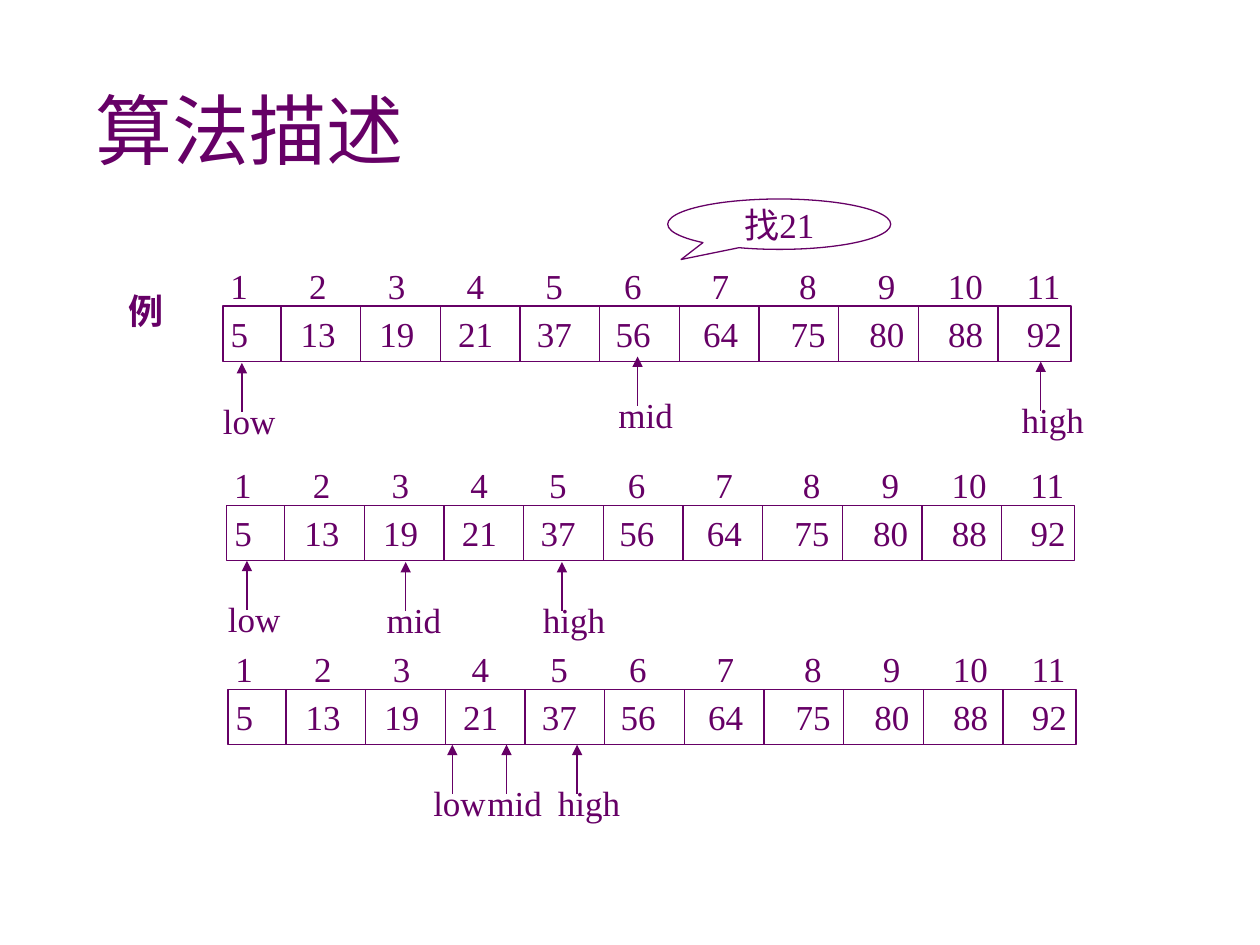
from lxml import etree
from pptx import Presentation
from pptx.dml.color import RGBColor
from pptx.enum.shapes import MSO_CONNECTOR, MSO_SHAPE
from pptx.enum.text import MSO_ANCHOR, PP_ALIGN
from pptx.oxml.ns import qn
from pptx.util import Inches, Pt

STRAIGHT = MSO_CONNECTOR.STRAIGHT
RECT, CALLOUT = MSO_SHAPE.RECTANGLE, MSO_SHAPE.OVAL_CALLOUT
MIDDLE, CENTER, LEFT = MSO_ANCHOR.MIDDLE, PP_ALIGN.CENTER, PP_ALIGN.LEFT
PURPLE = "660066"
SERIF, SANS = "Times New Roman", "Roboto Condensed"
INDEXES = list(range(1, 12))
VALUES = [5, 13, 19, 21, 37, 56, 64, 75, 80, 88, 92]
INDEX_TABS = [45, 90, 135, 180, 225, 275, 325, 370, 410, 455]
VALUE_TABS = [40, 85, 130, 175, 220, 270, 320, 365, 410, 455]
ROW_WIDTH, ROW_HEIGHT = 6.73, 0.44
FIRST_DIVIDER, DIVIDER_STEP = 0.46, 5.69 / 9
STEPS = [
    (1.77, 2.43, [("low", 1.92, 2.88), ("mid", 5.06, 2.83), ("high", 8.26, 2.87)]),
    (1.8, 4.01, [("low", 1.96, 4.45), ("mid", 3.22, 4.46), ("high", 4.46, 4.46)]),
    (1.81, 5.47, [("low", 3.59, 5.91), ("mid", 4.02, 5.91), ("high", 4.58, 5.91)]),
]
LABEL_WIDTHS = {"low": 0.61, "mid": 0.63, "high": 0.69}


def rgb(color):
    return RGBColor.from_string(color)


def write(s, text, size=20, font=SERIF, bold=False, align=LEFT, wrap=True):
    tf = s.text_frame
    tf.word_wrap = wrap
    p = tf.paragraphs[0]
    p.alignment = align
    r = p.add_run()
    r.text = text
    r.font.size = Pt(size)
    r.font.name = font
    r.font.bold = bold
    r.font.color.rgb = rgb(PURPLE)


def add_text(sp, x, y, w, h, text, **style):
    s = sp.add_textbox(Inches(x), Inches(y), Inches(w), Inches(h))
    s.text_frame.margin_right = 0
    write(s, text, **style)
    return s


def add_outline(sp, kind, x, y, w, h):
    s = sp.add_shape(kind, Inches(x), Inches(y), Inches(w), Inches(h))
    s.shadow.inherit = False
    s.fill.background()
    s.line.color.rgb = rgb(PURPLE)
    s.line.width = Pt(0.75)
    s.text_frame.vertical_anchor = MIDDLE
    return s


def add_line(sp, x1, y1, x2, y2, arrow=False):
    s = sp.add_connector(STRAIGHT, Inches(x1), Inches(y1), Inches(x2), Inches(y2))
    s.line.color.rgb = rgb(PURPLE)
    s.line.width = Pt(0.75)
    if arrow:
        etree.SubElement(s.line._get_or_add_ln(), qn("a:tailEnd"), type="triangle")
    etree.SubElement(s._element.spPr, qn("a:effectLst"))


def write_numbers(s, numbers, stops, inset):
    s.text_frame.margin_left = Inches(inset)
    s.text_frame.margin_right = 0
    pPr = s.text_frame.paragraphs[0]._p.get_or_add_pPr()
    tabs = etree.SubElement(pPr, qn("a:tabLst"))
    for stop in stops:
        etree.SubElement(tabs, qn("a:tab"), pos=str(Pt(stop)), algn="l")
    write(s, "\t".join(map(str, numbers)))


def add_array(sp, x, y):
    s = sp.add_textbox(Inches(x - 0.04), Inches(y - 0.38), Inches(6.81), Inches(ROW_HEIGHT))
    write_numbers(s, INDEXES, INDEX_TABS, 0.1)
    s = add_outline(sp, RECT, x, y, ROW_WIDTH, ROW_HEIGHT)
    write_numbers(s, VALUES, VALUE_TABS, 0.06)
    for i in range(len(VALUES) - 1):
        divider = x + FIRST_DIVIDER + i * DIVIDER_STEP
        add_line(sp, divider, y, divider, y + ROW_HEIGHT)


def add_pointer(sp, label, x, y):
    add_line(sp, x, y + 0.39, x, y, arrow=True)
    add_text(sp, x - 0.25, y + 0.24, LABEL_WIDTHS[label], 0.44, label)


def add_callout(sp):
    s = add_outline(sp, CALLOUT, 5.3, 1.58, 1.77, 0.4)
    s.adjustments[0] = -0.44
    s.adjustments[1] = 0.7
    write(s, "找21", align=CENTER, wrap=False)


def main():
    prs = Presentation()
    prs.slide_width, prs.slide_height = Inches(10), Inches(7.5)
    sp = prs.slides.add_slide(prs.slide_layouts[6]).shapes
    title = add_text(sp, 0.66, 0.57, 8.5, 0.9, "算法描述", size=44, font=SANS)
    title.text_frame.vertical_anchor = MIDDLE
    add_text(sp, 0.92, 2.25, 0.54, 0.44, "例", bold=True)
    add_callout(sp)
    for x, y, pointers in STEPS:
        add_array(sp, x, y)
        for pointer in pointers:
            add_pointer(sp, *pointer)
    prs.save("out.pptx")


if __name__ == "__main__":
    main()
